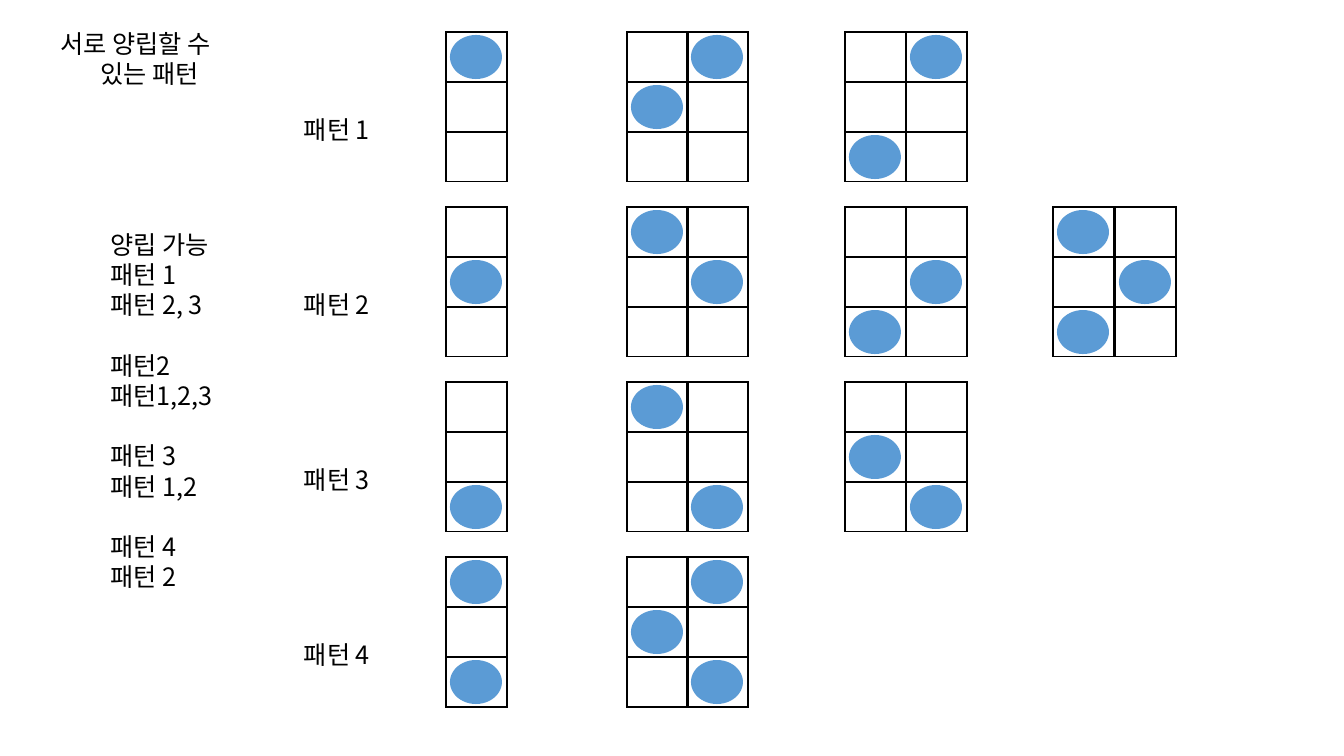
from lxml.etree import SubElement
from pptx import Presentation
from pptx.dml.color import RGBColor
from pptx.enum.shapes import MSO_SHAPE
from pptx.enum.text import MSO_ANCHOR, MSO_AUTO_SIZE, PP_ALIGN
from pptx.oxml.ns import qn
from pptx.util import Emu, Pt

PX = 914400 / 100.8
GRID_TOP, ROW_STEP, CELL_W, CELL_H = 32, 175, 61, 50
COLUMN_X = [446, 627, 687, 845, 906, 1053, 1115]
# For each pattern, the rows that hold a dot in every successive column
PATTERNS = [
    [[0], [1], [0], [2], [0]],
    [[1], [0], [1], [2], [1], [0, 2], [1]],
    [[2], [0], [2], [1], [2]],
    [[0, 2], [1], [0, 2]],
]
COMPATIBLE = [
    ["양립 가능", "패턴 1", "패턴 2, 3"],
    ["패턴2", "패턴1,2,3"],
    ["패턴 3", "패턴 1,2"],
    ["패턴 4", "패턴 2"],
]


def px(*lengths):
    """Turn pixel lengths into EMU."""
    return [Emu(round(length * PX)) for length in lengths]


def color(hex_code):
    """Turn a hex string into a colour."""
    return RGBColor.from_string(hex_code)


class PatternSlide:
    """Holds the style and the slide being filled."""

    font, size, line_height = "Noto Sans CJK KR", Pt(18), Pt(21.6)
    ink, dot_fill = "000000", "5B9BD5"

    def __init__(self, slide):
        """Keep the slide to draw on."""
        self.slide = slide

    def set_text(self, box, place, groups, aligns=()):
        """Place a text holder and fill it with groups of lines, one line gap between."""
        box.left, box.top, box.width, box.height = px(*place)
        frame = box.text_frame
        frame.word_wrap = False
        frame.auto_size = MSO_AUTO_SIZE.SHAPE_TO_FIT_TEXT
        frame.vertical_anchor = MSO_ANCHOR.TOP
        lines = [(text, g > 0 and i == 0)
                 for g, group in enumerate(groups) for i, text in enumerate(group)]
        for number, (text, opens_group) in enumerate(lines):
            paragraph = frame.add_paragraph() if number else frame.paragraphs[0]
            paragraph.alignment = aligns[number] if aligns else PP_ALIGN.LEFT
            paragraph.line_spacing = self.line_height
            paragraph.space_before = self.line_height if opens_group else Pt(0)
            paragraph.space_after = Pt(0)
            properties = paragraph._p.get_or_add_pPr()
            properties.set("marL", "0")
            properties.set("indent", "0")
            SubElement(properties, qn("a:buNone"))
            run = paragraph.add_run()
            run.text = text
            run.font.name, run.font.size = self.font, self.size
            run.font.color.rgb = color(self.ink)
            SubElement(run._r.get_or_add_rPr(), qn("a:ea"), typeface=self.font)

    def label(self, x, y, text):
        """Add a one-line label."""
        place = (x, y, 94, 40)
        self.set_text(self.slide.shapes.add_textbox(*px(*place)), place, [[text]])

    def column(self, x, y, rows=3):
        """Add one bordered column of empty cells."""
        table = self.slide.shapes.add_table(
            rows, 1, *px(x, y, CELL_W, CELL_H * rows)).table
        table.first_row = table.horz_banding = False
        for cell in table.iter_cells():
            for side in ("lnL", "lnR", "lnT", "lnB"):
                border = SubElement(cell._tc.get_or_add_tcPr(), qn("a:" + side), w="12700")
                fill = SubElement(border, qn("a:solidFill"))
                SubElement(fill, qn("a:srgbClr"), val=self.ink)
            cell.fill.background()

    def dot(self, x, y):
        """Add a dot inside the cell whose corner is given."""
        dot = self.slide.shapes.add_shape(MSO_SHAPE.OVAL, *px(x + 4, y + 3, 52, 44))
        dot.shadow.inherit = False
        dot.fill.solid()
        dot.fill.fore_color.rgb = color(self.dot_fill)
        dot.line.fill.background()


def main():
    """Build and save the slide."""
    deck = Presentation()
    deck.slide_width, deck.slide_height = px(1344, 756)
    page = PatternSlide(deck.slides.add_slide(deck.slide_layouts[1]))
    title, compatible = page.slide.placeholders
    page.set_text(title, (50, 23, 200, 72), [["서로 양립할 수 ", "있는 패턴"]],
                  [PP_ALIGN.LEFT, PP_ALIGN.CENTER])
    page.set_text(compatible, (100, 224, 131, 407), COMPATIBLE)

    for number, columns in enumerate(PATTERNS):
        top = GRID_TOP + number * ROW_STEP
        page.label(294, top + 77, f"패턴 {number + 1}")
        for x, dotted_rows in zip(COLUMN_X, columns):
            page.column(x, top)
            for row in dotted_rows:
                page.dot(x, top + row * CELL_H)
    deck.save("out.pptx")


main()
